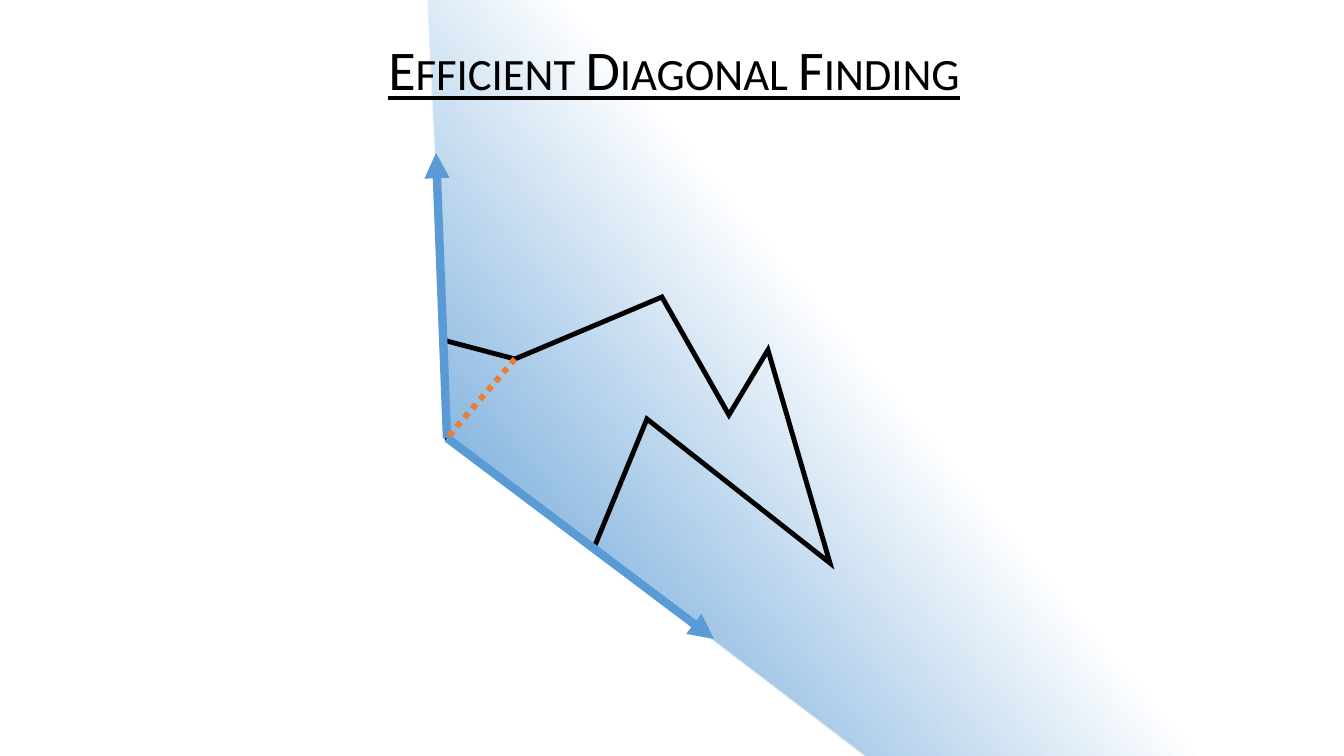
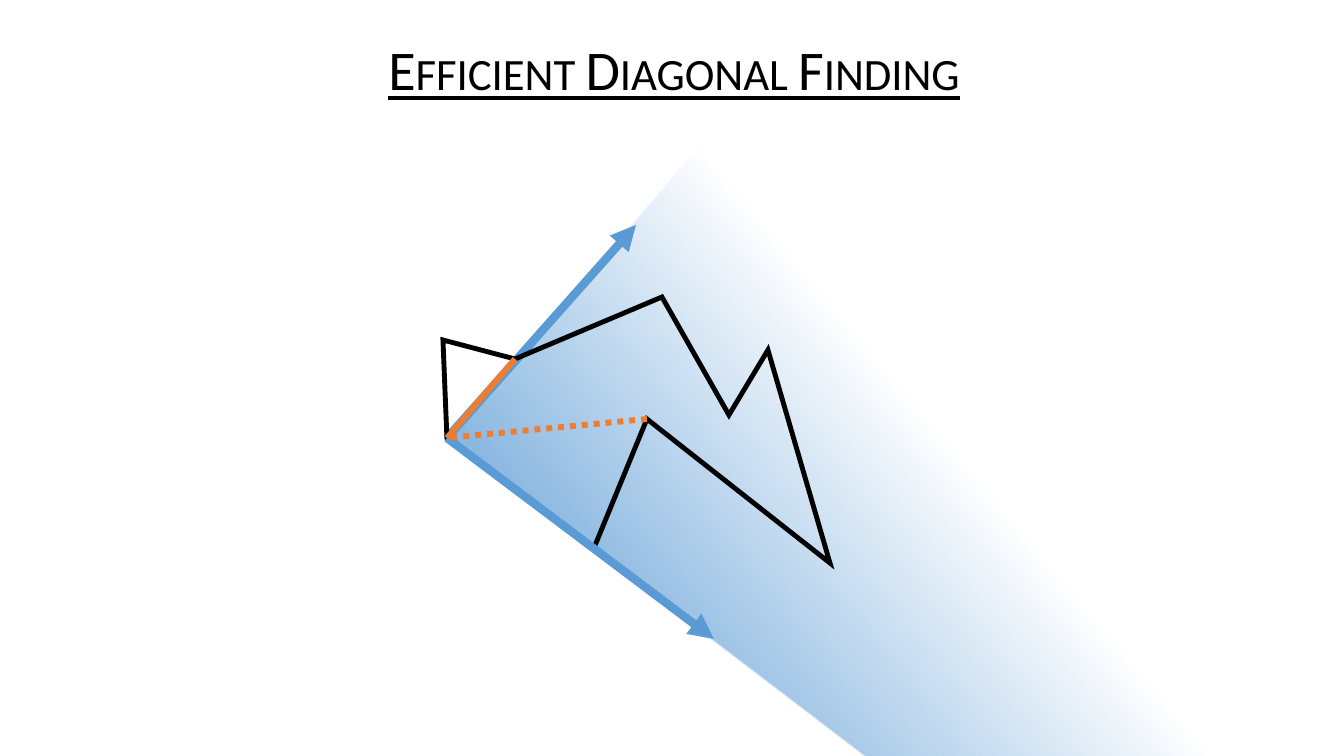
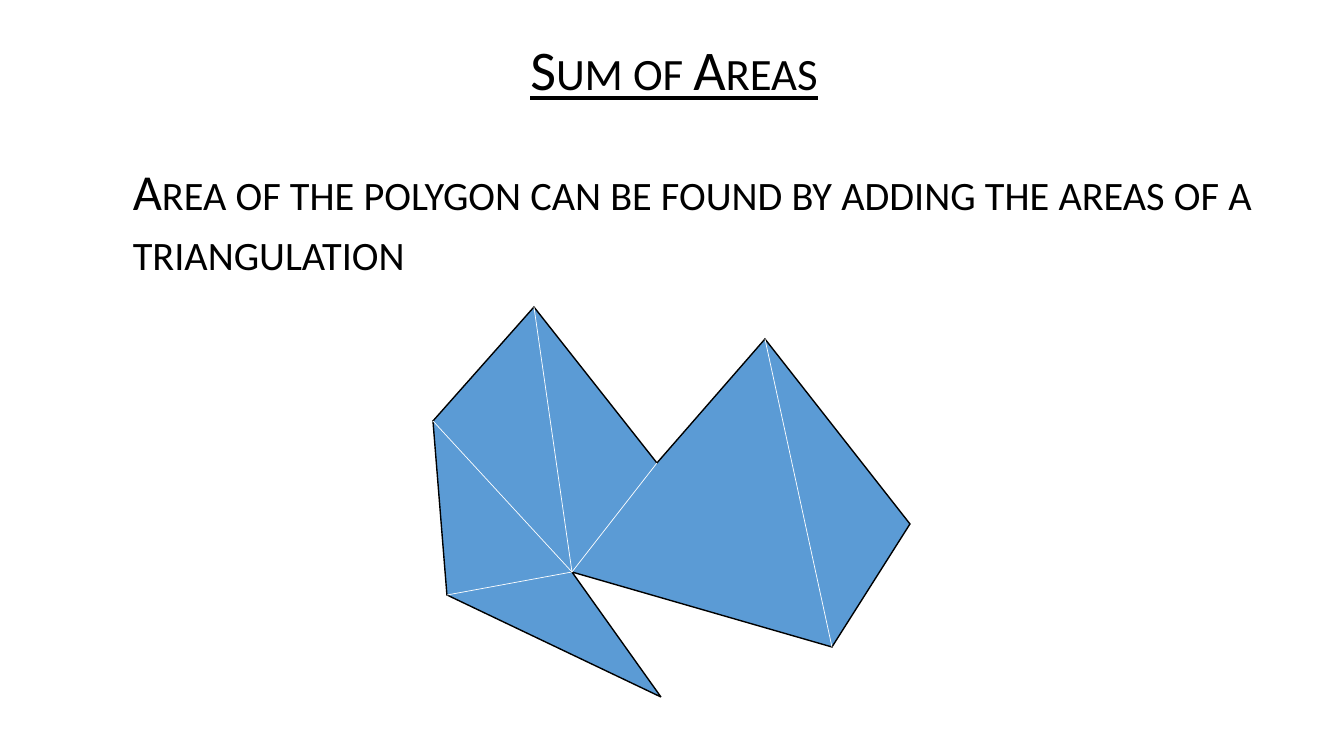
import pptx
import pptx.dml.color
import pptx.enum.dml
import pptx.enum.shapes
import pptx.enum.text
import pptx.oxml.ns
import pptx.util
from lxml import etree

PX = 914400 / 100.8
BLUE = pptx.dml.color.RGBColor(0x5B, 0x9B, 0xD5)
ORANGE = pptx.dml.color.RGBColor(0xED, 0x7D, 0x31)
BLACK = pptx.dml.color.RGBColor(0, 0, 0)
WHITE = pptx.dml.color.RGBColor(0xFF, 0xFF, 0xFF)
FONT = "Calibri"
# position in percent, opacity in percent
FADE_STOPS = [(0, 100), (6, 100), (50, 0)]
FADE_ANGLE = 40

CENTER = pptx.enum.text.PP_ALIGN.CENTER
MIDDLE = pptx.enum.text.MSO_ANCHOR.MIDDLE
TITLE = dict(left=178, top=29, width=992, height=86, size=40, underline=True,
             align=CENTER, anchor=MIDDLE, spacing=0.9)

qn = pptx.oxml.ns.qn


def add_text(page, text, left, top, width, height, size, underline=False,
             align=pptx.enum.text.PP_ALIGN.LEFT,
             anchor=pptx.enum.text.MSO_ANCHOR.TOP, spacing=1.0):
    """Add a text box in black small capitals."""
    box = page.shapes.add_textbox(*(round(n * PX) for n in (left, top, width, height)))
    frame = box.text_frame
    frame.word_wrap = True
    frame.vertical_anchor = anchor
    para = frame.paragraphs[0]
    para.alignment = align
    para.line_spacing = spacing
    span = para.add_run()
    span.text = text
    span.font.name = FONT
    span.font.size = pptx.util.Pt(size)
    span.font.underline = underline
    span.font.color.rgb = BLACK
    span.font._element.set("cap", "small")


def draw(page, points, color=None, weight=1, fill=None, fade=False, dotted=False, arrow=False):
    """Draw a connector through two points, or a closed outline through more."""
    if len(points) == 2:
        ends = [round(n * PX) for point in points for n in point]
        shape = page.shapes.add_connector(pptx.enum.shapes.MSO_CONNECTOR.STRAIGHT, *ends)
    else:
        builder = page.shapes.build_freeform(*points[0], scale=PX)
        builder.add_line_segments(points[1:], close=True)
        shape = builder.convert_to_shape()
        if fade:
            shape.fill.gradient()
            shape.fill.gradient_angle = FADE_ANGLE
            stops = shape._element.spPr.find(".//" + qn("a:gsLst"))
            stops[:] = []
            for position, opacity in FADE_STOPS:
                stop = etree.SubElement(stops, qn("a:gs"), pos=str(position * 1000))
                tone = etree.SubElement(stop, qn("a:srgbClr"), val=str(BLUE))
                etree.SubElement(tone, qn("a:alpha"), val=str(opacity * 1000))
        elif fill:
            shape.fill.solid()
            shape.fill.fore_color.rgb = fill
        else:
            shape.fill.background()

    if color is None:
        shape.line.fill.background()
    else:
        shape.line.color.rgb = color
        shape.line.width = pptx.util.Pt(weight)
        if dotted:
            shape.line.dash_style = pptx.enum.dml.MSO_LINE.ROUND_DOT
        stroke = shape.line._ln
        etree.SubElement(stroke, qn("a:miter"), lim="800000")
        if arrow:
            etree.SubElement(stroke, qn("a:tailEnd"), type="triangle")
    etree.SubElement(shape._element.spPr, qn("a:effectLst"))


deck = pptx.Presentation()
deck.slide_width = round(1344 * PX)
deck.slide_height = round(756 * PX)
blank = deck.slide_layouts[6]

# Diagonal finding: the visible wedge at one corner, before and after narrowing
corner, near, reflex = (447, 438), (515, 359), (647, 419)
polygon = [(443, 340), corner, (594, 548), reflex, (830, 563),
           (768, 350), (729, 415), (662, 297), near]
wedge_base = [(1344, -5), (1347, 772), (881, 767), (451, 439)]
ray = dict(color=BLUE, weight=6, arrow=True)
diagonal = dict(color=ORANGE, weight=4.25)
candidate = dict(diagonal, dotted=True)
lower_ray = ([corner, (714, 639)], ray)

steps = [
    dict(wedge_top=(428, -5), behind=[],
         front=[([corner, (436, 153)], ray), lower_ray, ([near, corner], candidate)]),
    dict(wedge_top=(823, 1), behind=[([corner, (636, 225)], ray)],
         front=[lower_ray, ([near, corner], diagonal), ([reflex, corner], candidate)]),
]
for step in steps:
    page = deck.slides.add_slide(blank)
    draw(page, wedge_base + [step["wedge_top"]], fade=True)
    for points, style in step["behind"]:
        draw(page, points, **style)
    add_text(page, "Efficient Diagonal Finding", **TITLE)
    draw(page, polygon, color=BLACK, weight=3.5)
    for points, style in step["front"]:
        draw(page, points, **style)

# Sum of areas: a triangulated polygon
page = deck.slides.add_slide(blank)
add_text(page, "Area of the polygon can be found by adding the areas of a triangulation",
         left=123, top=155, width=1148, height=132, size=36)
add_text(page, "Sum of Areas", **TITLE)
hub, left, bottom_left, top_left = (572, 572), (433, 421), (447, 595), (534, 307)
notch, top_right, bottom_right = (657, 463), (765, 339), (832, 647)
draw(page, [left, bottom_left, (661, 697), hub, bottom_right, (910, 524),
            top_right, notch, top_left], color=BLACK, weight=1, fill=BLUE)
cuts = [[hub, vertex] for vertex in (bottom_left, left, top_left, notch)]
for cut in cuts + [[bottom_right, top_right]]:
    draw(page, cut, color=WHITE, weight=0.5)

deck.save("out.pptx")
